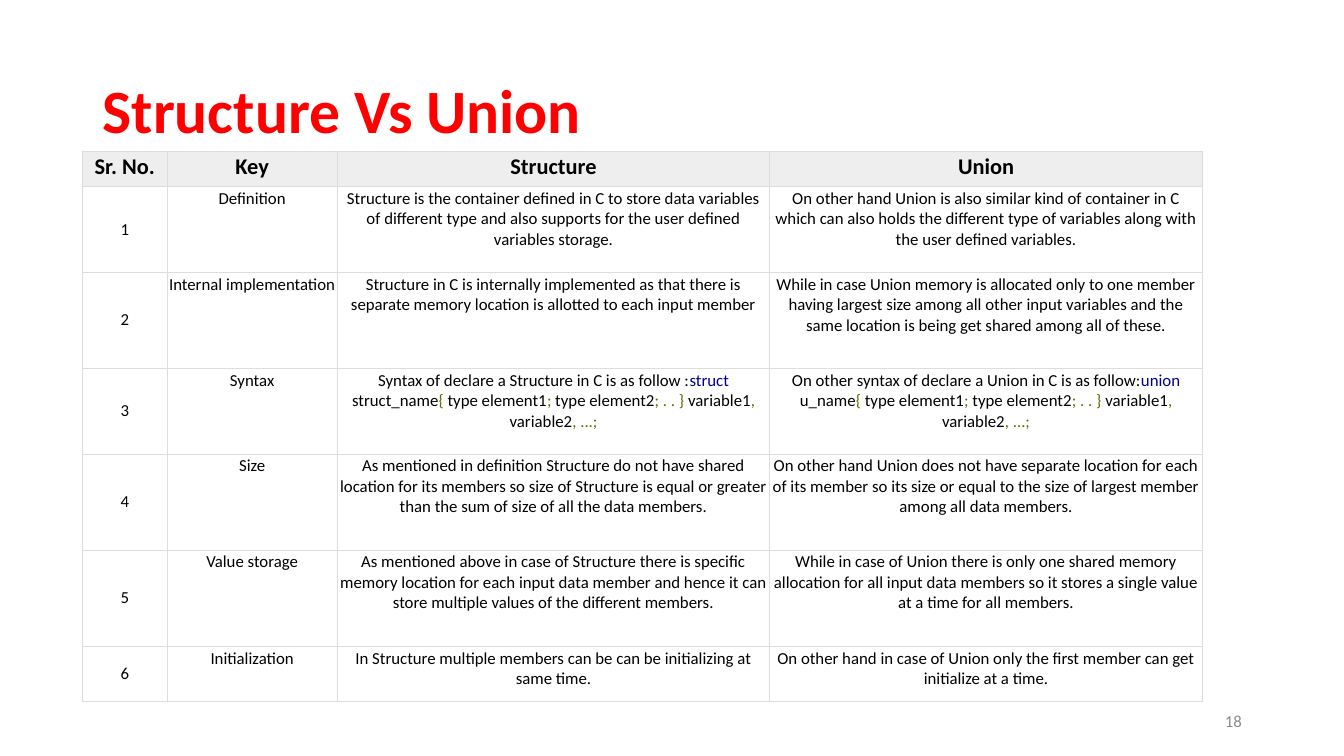
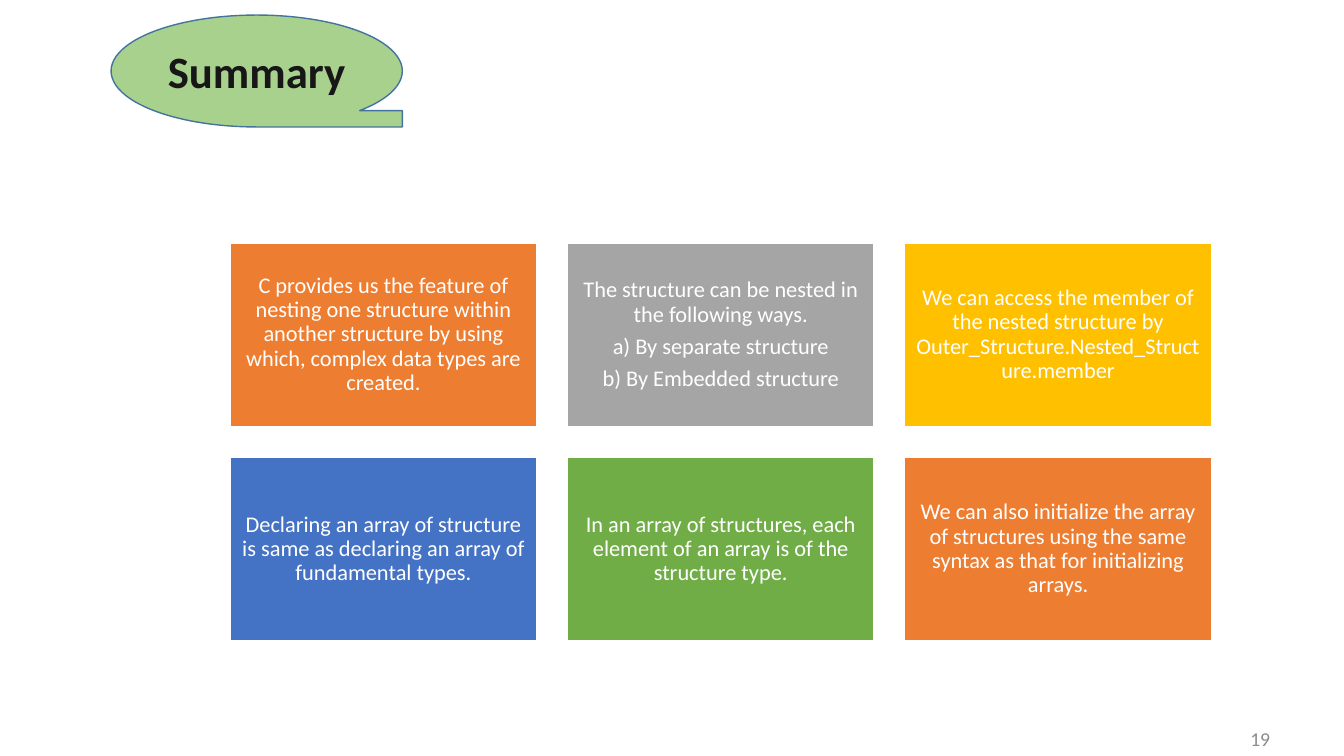
from lxml import etree
from pptx import Presentation
from pptx.dml.color import RGBColor
from pptx.enum import shapes, text
from pptx.oxml import ns
from pptx.util import Cm, Pt

FONT = "Calibri"
BLACK = RGBColor(0x00, 0x00, 0x00)
WHITE = RGBColor(0xFF, 0xFF, 0xFF)
RED = RGBColor(0xFF, 0x00, 0x00)
NUMBER_GREY = RGBColor(0x8C, 0x8C, 0x8C)
HEADER_GREY = RGBColor(0xEE, 0xEE, 0xEE)
BORDER_GREY = RGBColor(0xDD, 0xDD, 0xDD)
KEYWORD_BLUE = RGBColor(0x00, 0x00, 0x88)
SYMBOL_OLIVE = RGBColor(0x66, 0x66, 0x00)
BADGE_GREEN = RGBColor(0xA9, 0xD1, 0x8E)
BADGE_EDGE = RGBColor(0x43, 0x73, 0x9E)
BADGE_TEXT = RGBColor(0x18, 0x17, 0x17)
ORANGE = RGBColor(0xED, 0x7D, 0x31)
GREY = RGBColor(0xA5, 0xA5, 0xA5)
GOLD = RGBColor(0xFF, 0xC0, 0x00)
BLUE = RGBColor(0x44, 0x72, 0xC4)
GREEN = RGBColor(0x70, 0xAD, 0x47)

LEFT, CENTER, RIGHT = (text.PP_ALIGN.LEFT, text.PP_ALIGN.CENTER,
                       text.PP_ALIGN.RIGHT)
TOP, MIDDLE = text.MSO_ANCHOR.TOP, text.MSO_ANCHOR.MIDDLE

DECLARATION_BODY = [
    ("{", SYMBOL_OLIVE), (" type element1", BLACK),
    (";", SYMBOL_OLIVE), (" type element2", BLACK),
    ("; . . }", SYMBOL_OLIVE), (" variable1", BLACK),
    (",", SYMBOL_OLIVE), (" variable2", BLACK),
    (", ...;", SYMBOL_OLIVE),
]
STRUCT_SYNTAX = [("Syntax of declare a Structure in C is as follow :", BLACK),
                 ("struct", KEYWORD_BLUE), (" struct_name", BLACK),
                 *DECLARATION_BODY]
UNION_SYNTAX = [("On other syntax of declare a Union in C is as follow:", BLACK),
                ("union", KEYWORD_BLUE), (" u_name", BLACK),
                *DECLARATION_BODY]

HEADERS = ("Sr. No.", "Key", "Structure", "Union")
COMPARISONS = [
    ("Definition",
     "Structure is the container defined in C to store data variables of "
     "different type and also supports for the user defined variables storage.",
     "On other hand Union is also similar kind of container in C which can also "
     "holds the different type of variables along with the user defined "
     "variables."),
    ("Internal implementation",
     "Structure in C is internally implemented as that there is separate memory "
     "location is allotted to each input member",
     "While in case Union memory is allocated only to one member having largest "
     "size among all other input variables and the same location is being get "
     "shared among all of these."),
    ("Syntax", STRUCT_SYNTAX, UNION_SYNTAX),
    ("Size",
     "As mentioned in definition Structure do not have shared location for its "
     "members so size of Structure is equal or greater than the sum of size of "
     "all the data members.",
     "On other hand Union does not have separate location for each of its member "
     "so its size or equal to the size of largest member among all data members."),
    ("Value storage",
     "As mentioned above in case of Structure there is specific memory location "
     "for each input data member and hence it can store multiple values of the "
     "different members.",
     "While in case of Union there is only one shared memory allocation for all "
     "input data members so it stores a single value at a time for all members."),
    ("Initialization",
     "In Structure multiple members can be can be initializing at same time.",
     "On other hand in case of Union only the first member can get initialize at "
     "a time."),
]
COLUMN_WIDTHS = (2.13, 4.29, 10.9, 10.9)
ROW_HEIGHTS = (0.89, 2.16, 2.42, 2.16, 2.42, 2.42, 1.4)

SUMMARY_CARDS = [
    (ORANGE, ["C provides us the feature of nesting one structure within another "
              "structure by using which, complex data types are created."]),
    (GREY, ["The structure can be nested in the following ways.",
            "a) By separate structure",
            "b) By Embedded structure"]),
    (GOLD, ["We can access the member of the nested structure by "
            "Outer_Structure.Nested_Structure.member"]),
    (BLUE, ["Declaring an array of structure is same as declaring an array of "
            "fundamental types."]),
    (GREEN, ["In an array of structures, each element of an array is of the "
             "structure type."]),
    (ORANGE, ["We can also initialize the array of structures using the same "
              "syntax as that for initializing arrays."]),
]
CARDS_PER_ROW = 3
CARDS_LEFT, CARDS_TOP = 5.8, 6.12
CARD_WIDTH, CARD_HEIGHT, CARD_GAP = 7.73, 4.63, 0.77


def write(frame, paragraphs, size, color, bold=False, align=CENTER,
          line_spacing=None, space_after=None):
    """Fill a frame; a paragraph is a string or a list of (text, colour) runs."""
    frame.word_wrap = True
    for index, content in enumerate(paragraphs):
        paragraph = frame.add_paragraph() if index else frame.paragraphs[0]
        paragraph.alignment = align
        if line_spacing:
            paragraph.line_spacing = line_spacing
        if space_after:
            paragraph.space_after = space_after
        runs = [(content, color)] if isinstance(content, str) else content
        for words, run_color in runs:
            run = paragraph.add_run()
            run.text = words
            run.font.name = FONT
            run.font.size = Pt(size)
            run.font.bold = bold
            run.font.color.rgb = run_color


def add_label(slide, box, words, size, color, **style):
    frame = slide.shapes.add_textbox(*map(Cm, box)).text_frame
    frame.vertical_anchor = MIDDLE
    write(frame, [words], size, color, **style)


def add_page_number(slide, box, number, size):
    add_label(slide, box, str(number), size, NUMBER_GREY, align=RIGHT)


def add_filled_shape(slide, preset, box, fill, edge):
    shape = slide.shapes.add_shape(preset, *map(Cm, box))
    shape.shadow.inherit = False
    shape.fill.solid()
    shape.fill.fore_color.rgb = fill
    shape.line.color.rgb = edge
    shape.line.width = Pt(1)
    shape.text_frame.vertical_anchor = MIDDLE
    return shape


def set_borders(cell):
    properties = cell._tc.get_or_add_tcPr()
    for side in ("a:lnL", "a:lnR", "a:lnT", "a:lnB"):
        line = etree.SubElement(properties, ns.qn(side), w=str(Pt(0.6)))
        fill = etree.SubElement(line, ns.qn("a:solidFill"))
        etree.SubElement(fill, ns.qn("a:srgbClr"), val=str(BORDER_GREY))


def add_comparison_table(slide):
    rows = [HEADERS] + [(str(number), *comparison)
                        for number, comparison in enumerate(COMPARISONS, 1)]
    table = slide.shapes.add_table(
        len(rows), len(HEADERS), Cm(2.08), Cm(3.81),
        Cm(sum(COLUMN_WIDTHS)), Cm(sum(ROW_HEIGHTS))).table
    table.first_row = table.horz_banding = False
    for column, width in zip(table.columns, COLUMN_WIDTHS):
        column.width = Cm(width)
    for row, height in zip(table.rows, ROW_HEIGHTS):
        row.height = Cm(height)
    for r, row in enumerate(rows):
        is_header = r == 0
        for c, content in enumerate(row):
            cell = table.cell(r, c)
            cell.margin_left = cell.margin_right = Cm(0.05)
            cell.margin_top = cell.margin_bottom = Cm(0.05)
            cell.vertical_anchor = MIDDLE if c == 0 and not is_header else TOP
            set_borders(cell)
            cell.fill.solid()
            cell.fill.fore_color.rgb = HEADER_GREY if is_header else WHITE
            write(cell.text_frame, [content], 16 if is_header else 12, BLACK,
                  bold=is_header)


def add_summary_cards(slide):
    for index, (color, paragraphs) in enumerate(SUMMARY_CARDS):
        row, column = divmod(index, CARDS_PER_ROW)
        box = (CARDS_LEFT + column * (CARD_WIDTH + CARD_GAP),
               CARDS_TOP + row * (CARD_HEIGHT + CARD_GAP),
               CARD_WIDTH, CARD_HEIGHT)
        card = add_filled_shape(slide, shapes.MSO_SHAPE.RECTANGLE, box, color,
                                WHITE)
        frame = card.text_frame
        frame.margin_left = frame.margin_right = Cm(0.17)
        frame.margin_top = frame.margin_bottom = Cm(0.17)
        write(frame, paragraphs, 16, WHITE, line_spacing=0.9,
              space_after=Pt(5.6))


def build_comparison(slide):
    add_label(slide, (2.34, 1.02, 29.21, 3.68), "Structure Vs Union", 44, RED,
              bold=True, align=LEFT, line_spacing=0.9)
    add_comparison_table(slide)
    add_page_number(slide, (23.93, 17.65, 7.62, 1.02), 18, 12)


def build_summary(slide):
    add_page_number(slide, (26.57, 18.54, 5.69, 0.13), 19, 14)
    badge = add_filled_shape(slide, shapes.MSO_SHAPE.FLOWCHART_SEQUENTIAL_ACCESS_STORAGE,
                             (2.8, 0.38, 7.34, 2.82), BADGE_GREEN, BADGE_EDGE)
    write(badge.text_frame, ["Summary"], 32, BADGE_TEXT, bold=True)
    add_summary_cards(slide)


def main():
    deck = Presentation()
    deck.slide_width, deck.slide_height = Cm(33.87), Cm(19.05)
    blank = deck.slide_layouts[6]
    for build in (build_comparison, build_summary):
        build(deck.slides.add_slide(blank))
    deck.save("out.pptx")


if __name__ == "__main__":
    main()
